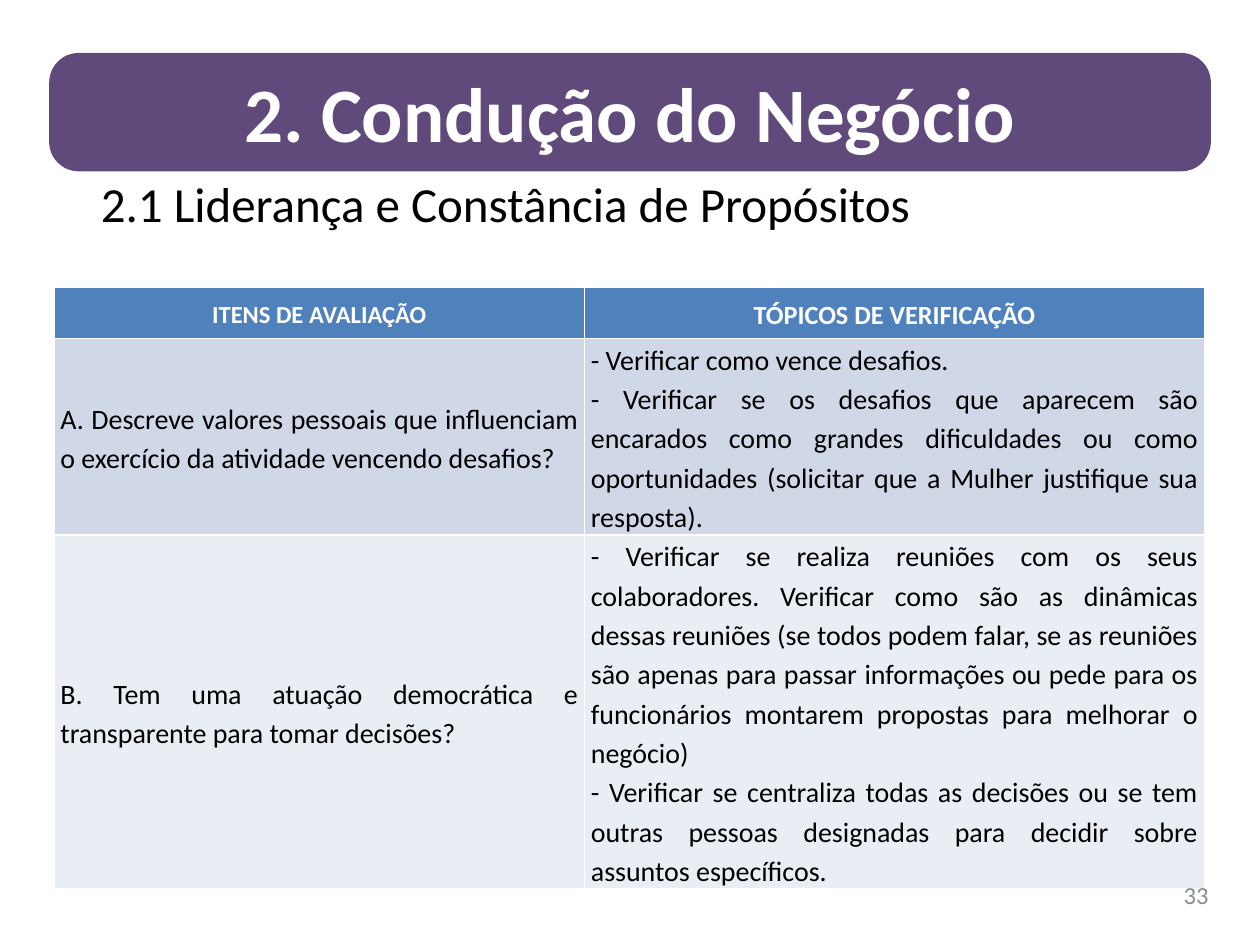
from dataclasses import dataclass

from pptx import Presentation
from pptx.dml.color import RGBColor
from pptx.enum.shapes import MSO_SHAPE as Shape
from pptx.enum.text import MSO_ANCHOR as Anchor, PP_ALIGN as Align
from pptx.util import Inches, Pt


@dataclass(frozen=True)
class Theme:
    font: str = "Calibri"
    black: str = "000000"
    white: str = "FFFFFF"
    gray: str = "8C8C8C"
    purple: str = "604A7B"
    header: str = "4F81BD"
    bands: tuple = ("D0D8E8", "E9EDF4")
    banner_size: int = 44
    title_size: int = 28
    header_sizes: tuple = (14, 15)
    body_size: int = 16
    number_size: int = 14
    line_spacing: float = 1.15


HEADINGS = ["ITENS DE AVALIAÇÃO", "TÓPICOS DE VERIFICAÇÃO"]
CRITERIA = [
    (
        ["A. Descreve valores pessoais que influenciam o exercício da atividade vencendo desafios?"],
        [
            "- Verificar como vence desafios.",
            "- Verificar se os desafios que aparecem são encarados como grandes dificuldades "
            "ou como oportunidades (solicitar que a Mulher justifique sua resposta).",
        ],
    ),
    (
        ["B. Tem uma atuação democrática e transparente para tomar decisões?"],
        [
            "- Verificar se realiza reuniões com os seus colaboradores. Verificar como são as "
            "dinâmicas dessas reuniões (se todos podem falar, se as reuniões são apenas para "
            "passar informações ou pede para os funcionários montarem propostas para melhorar "
            "o negócio)",
            "- Verificar se centraliza todas as decisões ou se tem outras pessoas designadas "
            "para decidir sobre assuntos específicos.",
        ],
    ),
]


class SlideBuilder:
    """Holds the theme and the current slide; boxes are percentages of the slide."""

    def __init__(self, deck, theme):
        self.theme = theme
        self.width, self.height = deck.slide_width, deck.slide_height
        self.slide = deck.slides.add_slide(deck.slide_layouts[5])

    def across(self, share):
        return round(self.width * share / 100)

    def down(self, share):
        return round(self.height * share / 100)

    def place(self, left, top, width, height):
        return self.across(left), self.down(top), self.across(width), self.down(height)

    def set_text(self, frame, lines, size, color, align=Align.LEFT, bold=False,
                 anchor=Anchor.MIDDLE, spacing=None):
        frame.word_wrap = True
        frame.vertical_anchor = anchor
        for index, line in enumerate(lines):
            paragraph = frame.paragraphs[0] if index == 0 else frame.add_paragraph()
            paragraph.text = line
            paragraph.alignment = align
            paragraph.line_spacing = spacing
            font = paragraph.font
            font.name, font.size, font.bold = self.theme.font, Pt(size), bold
            font.color.rgb = RGBColor.from_string(color)

    def title(self, text, box):
        title = self.slide.shapes.title
        title.left, title.top, title.width, title.height = self.place(*box)
        self.set_text(title.text_frame, [text], self.theme.title_size, self.theme.black,
                      anchor=Anchor.TOP)

    def banner(self, text, box, rounding):
        banner = self.slide.shapes.add_shape(Shape.ROUNDED_RECTANGLE, *self.place(*box))
        banner.adjustments[0] = rounding
        banner.shadow.inherit = False
        banner.fill.solid()
        banner.fill.fore_color.rgb = RGBColor.from_string(self.theme.purple)
        banner.line.fill.background()
        self.set_text(banner.text_frame, [text], self.theme.banner_size, self.theme.white,
                      Align.CENTER, bold=True)

    def cell(self, cell, lines, fill, size, color, align, bold=False):
        cell.fill.solid()
        cell.fill.fore_color.rgb = RGBColor.from_string(fill)
        cell.margin_left = cell.margin_right = Inches(0.05)
        cell.margin_top = cell.margin_bottom = 0
        cell.vertical_anchor = Anchor.MIDDLE
        self.set_text(cell.text_frame, lines, size, color, align, bold,
                      anchor=None, spacing=self.theme.line_spacing)

    def table(self, headings, rows, left, top, columns, heights):
        theme = self.theme
        box = self.place(left, top, sum(columns), sum(heights))
        table = self.slide.shapes.add_table(len(heights), len(columns), *box).table
        for column, share in zip(table.columns, columns):
            column.width = self.across(share)
        for row, share in zip(table.rows, heights):
            row.height = self.down(share)
        for col, heading in enumerate(headings):
            self.cell(table.cell(0, col), [heading], theme.header,
                      theme.header_sizes[col], theme.white, Align.CENTER, bold=True)
        for index, row in enumerate(rows):
            band = theme.bands[index % len(theme.bands)]
            for col, lines in enumerate(row):
                self.cell(table.cell(index + 1, col), lines, band,
                          theme.body_size, theme.black, Align.JUSTIFY)

    def page_number(self, number, box):
        frame = self.slide.shapes.add_textbox(*self.place(*box)).text_frame
        self.set_text(frame, [number], self.theme.number_size, self.theme.gray, Align.RIGHT)


def main():
    deck = Presentation()
    deck.slide_width, deck.slide_height = Inches(10), Inches(7.5)
    builder = SlideBuilder(deck, Theme())
    builder.title("2.1 Liderança e Constância de Propósitos", (7, 17.73, 86.6, 14.27))
    builder.banner("2. Condução do Negócio", (3.9, 5.6, 92.2, 12.53), rounding=0.25)
    builder.table(HEADINGS, CRITERIA, left=4.3, top=30.4,
                  columns=(42.1, 49.2), heights=(5.4, 20.7, 37.3))
    builder.page_number("33", (73.6, 92, 23.3, 5.33))
    deck.save("out.pptx")


if __name__ == "__main__":
    main()
